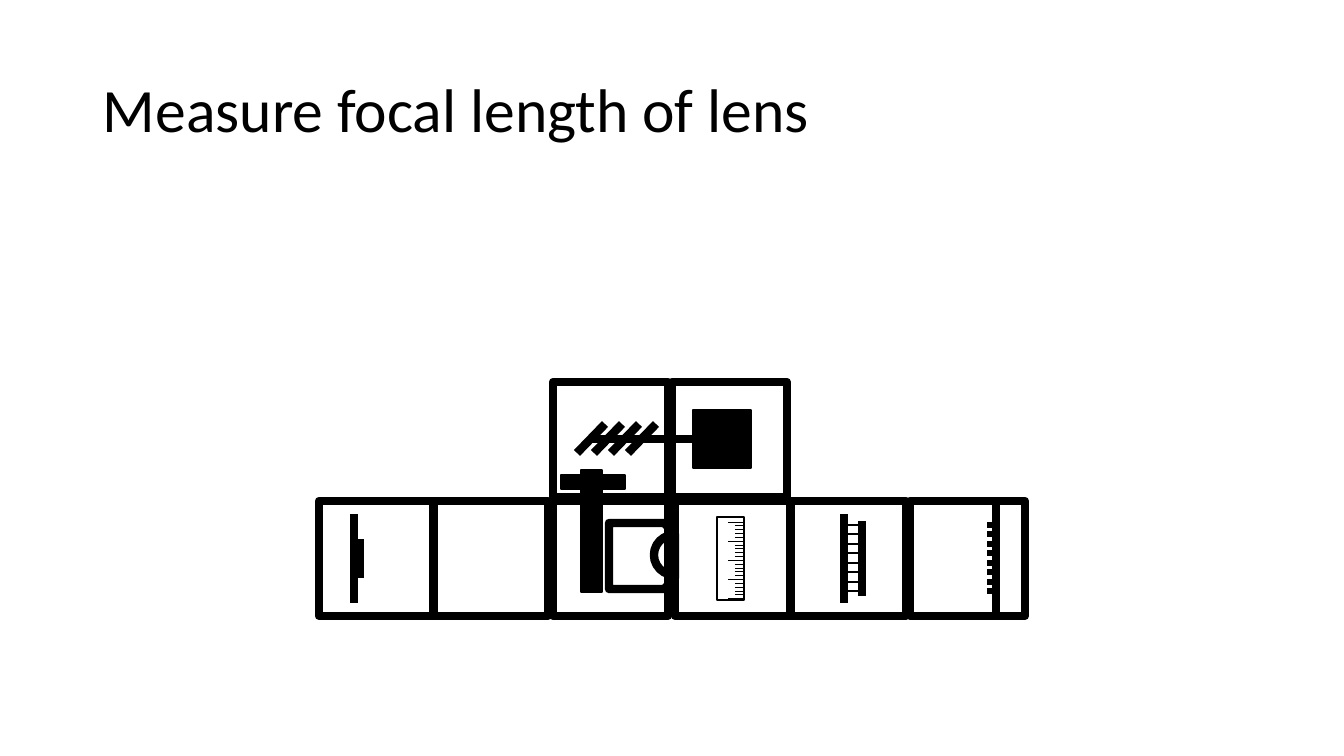
"""Build a slide showing an optical bench for measuring the focal length of a lens."""
from dataclasses import dataclass
from typing import Optional

from lxml import etree
from pptx import Presentation
from pptx.dml.color import RGBColor
from pptx.enum.shapes import MSO_CONNECTOR, MSO_SHAPE
from pptx.enum.text import MSO_ANCHOR
from pptx.oxml.ns import qn
from pptx.util import Emu, Pt

COLORS = {"ink": "000000"}
INK = RGBColor.from_string(COLORS["ink"])
EMU_PER_PX = 914400 / 100.8
FONT = "Calibri"
THICK, TOOTH, FINE, OUTLINE, HAIR = 6, 4.5, 1.5, 1, 0.5
CELL = 115
UPPER_ROW, LOWER_ROW = 382, 501


@dataclass(frozen=True)
class Box:
    """A preset shape, outlined or solid, in pixels."""
    left: int
    top: int
    width: int
    height: int
    weight: float = THICK
    solid: bool = False
    preset: MSO_SHAPE = MSO_SHAPE.RECTANGLE
    rotation: int = 0
    adjustments: Optional[tuple[float, ...]] = None


@dataclass(frozen=True)
class Stroke:
    """A straight line in pixels."""
    x1: int
    y1: int
    x2: int
    y2: int
    weight: float = THICK


def px(length: int) -> Emu:
    """Turn pixels into EMU."""
    return Emu(round(length * EMU_PER_PX))


def draw_box(slide, box: Box) -> None:
    """Add one preset shape."""
    shape = slide.shapes.add_shape(
        box.preset, px(box.left), px(box.top), px(box.width), px(box.height))
    shape.shadow.inherit = False
    shape.rotation = box.rotation
    for index, value in enumerate(box.adjustments or ()):
        shape.adjustments[index] = value
    if box.solid:
        shape.fill.solid()
        shape.fill.fore_color.rgb = INK
    else:
        shape.fill.background()
    shape.line.color.rgb = INK
    shape.line.width = Pt(box.weight)


def draw_stroke(slide, stroke: Stroke) -> None:
    """Add one straight connector without a shadow."""
    line = slide.shapes.add_connector(
        MSO_CONNECTOR.STRAIGHT,
        px(stroke.x1), px(stroke.y1), px(stroke.x2), px(stroke.y2))
    line.line.color.rgb = INK
    line.line.width = Pt(stroke.weight)
    etree.SubElement(line._element.spPr, qn("a:effectLst"))


def draw_title(slide, text: str) -> None:
    """Add the slide title."""
    frame = slide.shapes.add_textbox(px(93), px(40), px(1159), px(146)).text_frame
    frame.word_wrap = True
    frame.vertical_anchor = MSO_ANCHOR.MIDDLE
    paragraph = frame.paragraphs[0]
    paragraph.line_spacing = 0.9
    run = paragraph.add_run()
    run.text = text
    run.font.size = Pt(44)
    run.font.name = FONT
    run.font.color.rgb = INK


cells = [Box(x, UPPER_ROW, CELL, CELL) for x in (553, 672)]
cells += [Box(x, LOWER_ROW, CELL, CELL) for x in (319, 433, 553, 675, 791, 910)]

parts = [
    Box(581, 470, 21, 122, OUTLINE, solid=True),
    Box(561, 475, 64, 14, OUTLINE, solid=True),
    Box(693, 410, 58, 58, OUTLINE, solid=True),
    Box(609, 523, 66, 66, preset=MSO_SHAPE.SNIP_2_SAME_RECTANGLE, rotation=90),
    Box(654, 535, 40, 40, preset=MSO_SHAPE.CHORD, adjustments=(52.86, 162)),
    Box(717, 517, 27, 83, FINE),
]

grating = [Stroke(x, 424, x - 28, 453) for x in range(605, 657, 17)]
rod = [Stroke(590, 439, 710, 439)]
mirror = [Stroke(354, 603, 354, 514), Stroke(360, 578, 360, 539)]
rails = [Stroke(844, 603, 844, 514), Stroke(862, 596, 862, 521)]
screen = [Stroke(996, LOWER_ROW, 996, LOWER_ROW + CELL)]

rung_rows = [525 + i * 19 // 2 for i in range(8)]
rungs = [Stroke(846, y, 862, y, FINE) for y in rung_rows]
teeth = [Stroke(995, y, 987, y, TOOTH) for y in rung_rows]

ruler_ticks = [
    Stroke(735 if i % 5 else 728, y, 744, y, HAIR)
    for i, y in enumerate(522 + step * 23 // 6 for step in range(21))
]


def main() -> None:
    """Build and save the presentation."""
    presentation = Presentation()
    presentation.slide_width, presentation.slide_height = px(1344), px(756)
    slide = presentation.slides.add_slide(presentation.slide_layouts[6])
    draw_title(slide, "Measure focal length of lens")
    for box in parts + cells:
        draw_box(slide, box)
    for stroke in grating + rod + mirror + rails + rungs + screen + teeth + ruler_ticks:
        draw_stroke(slide, stroke)
    presentation.save("out.pptx")


main()
